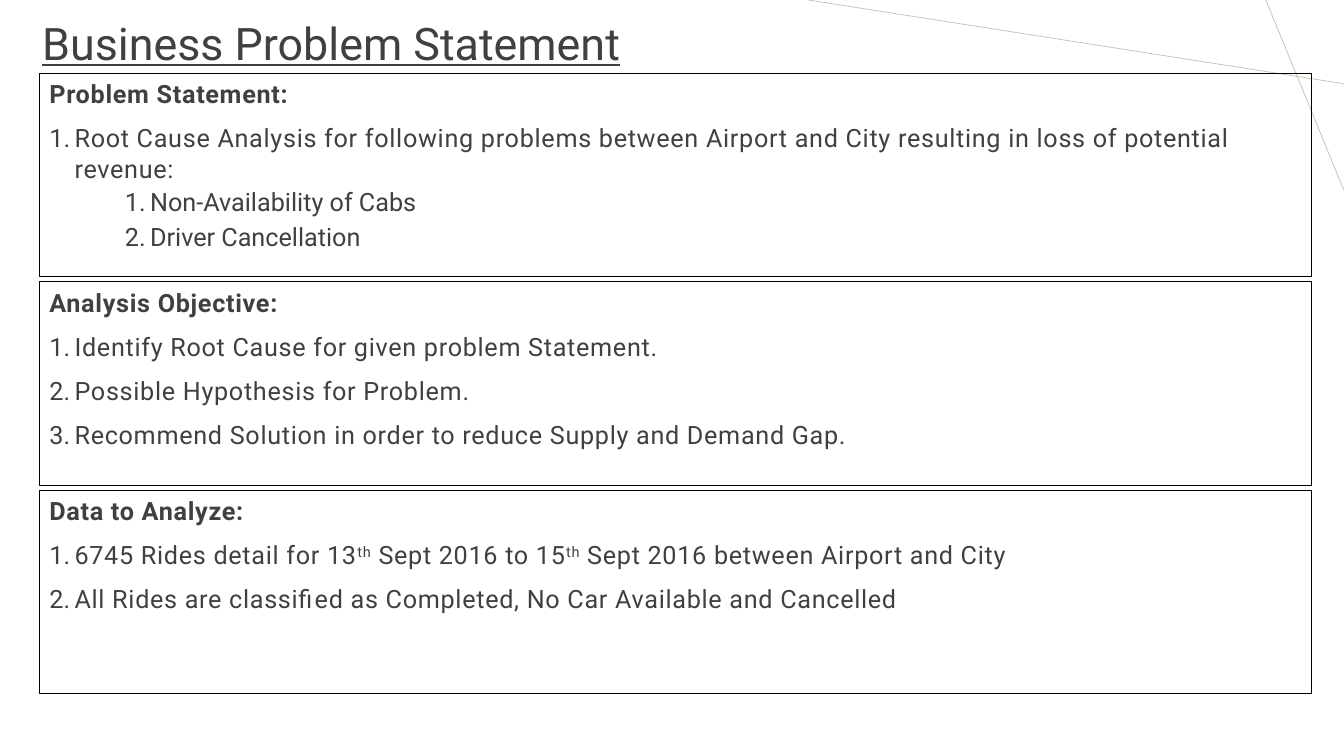
from lxml import etree
from pptx import Presentation
from pptx.dml.color import RGBColor
from pptx.enum.shapes import MSO_CONNECTOR
from pptx.enum.text import MSO_ANCHOR, MSO_AUTO_SIZE, PP_ALIGN
from pptx.oxml.ns import qn
from pptx.util import Cm, Pt

STRAIGHT = MSO_CONNECTOR.STRAIGHT
TOP = MSO_ANCHOR.TOP
LEFT = PP_ALIGN.LEFT
NO_AUTOFIT = MSO_AUTO_SIZE.NONE

TEXT_COLOR = RGBColor(0x40, 0x40, 0x40)
BORDER_COLOR = RGBColor(0x00, 0x00, 0x00)
ACCENT_COLOR = RGBColor(0xC6, 0xBF, 0xA9)

COMPARISON_LAYOUT = 4  # title and four body placeholders
HEADING, ITEM, SUBITEM = range(3)
INDENTS = {HEADING: 0, ITEM: 0.635, SUBITEM: 2.54}  # cm
HANGING = 0.635  # cm

# Each section is a list of (kind, text); ^ marks the ends of a superscript
SECTIONS = [
    [
        (HEADING, "Problem Statement:"),
        (ITEM, "Root Cause Analysis for following problems between Airport and City "
               "resulting in loss of potential revenue:"),
        (SUBITEM, "Non-Availability of Cabs"),
        (SUBITEM, "Driver Cancellation"),
    ],
    [
        (HEADING, "Analysis Objective:"),
        (ITEM, "Identify Root Cause for given problem Statement."),
        (ITEM, "Possible Hypothesis for Problem."),
        (ITEM, "Recommend Solution in order to reduce Supply and Demand Gap."),
    ],
    [
        (HEADING, "Data to Analyze:"),
        (ITEM, "6745 Rides detail for 13^th^ Sept 2016 to 15^th^ Sept 2016 "
               "between Airport and City"),
        (ITEM, "All Rides are classified as Completed, No Car Available and Cancelled"),
    ],
]


class SlideBuilder:
    font_name = "Roboto"

    def __init__(self, slide):
        self.slide = slide
        self.bodies = [shape for shape in slide.placeholders
                       if shape.placeholder_format.idx in (1, 2, 3, 4)]

    def place(self, shape, left, top, width, height):
        shape.left, shape.top = Cm(left), Cm(top)
        shape.width, shape.height = Cm(width), Cm(height)
        frame = shape.text_frame
        frame.word_wrap = True
        frame.auto_size = NO_AUTOFIT
        frame.vertical_anchor = TOP
        return frame

    def style(self, paragraph, size, bold=False):
        paragraph.alignment = LEFT
        font = paragraph.font
        font.name, font.size, font.bold = self.font_name, Pt(size), bold
        font.color.rgb = TEXT_COLOR
        return font

    def accent_line(self, x1, y1, x2, y2):
        line = self.slide.shapes.add_connector(STRAIGHT, Cm(x1), Cm(y1), Cm(x2), Cm(y2))
        line.line.color.rgb = ACCENT_COLOR
        line.line.width = Pt(0.5)
        etree.SubElement(line._element.spPr, qn("a:effectLst"))
        self.slide.shapes._spTree.insert(2, line._element)  # behind the text

    def title(self, text, *box):
        frame = self.place(self.slide.shapes.title, *box)
        frame.text = text
        paragraph = frame.paragraphs[0]
        paragraph.line_spacing = 0.9
        self.style(paragraph, 32).underline = True

    def section(self, entries, *box):
        shape = self.bodies.pop(0)
        frame = self.place(shape, *box)
        shape.line.color.rgb = BORDER_COLOR
        shape.line.width = Pt(0.75)
        for number, (kind, text) in enumerate(entries):
            paragraph = frame.add_paragraph() if number else frame.paragraphs[0]
            self.entry(paragraph, kind, text)

    def entry(self, paragraph, kind, text):
        is_subitem = kind == SUBITEM
        paragraph.level = 1 if is_subitem else 0
        paragraph.line_spacing = 0.9 if is_subitem else 1.0
        paragraph.space_before = Pt(5 if is_subitem else 10)

        # Numbering and hanging indent
        properties = paragraph._p.get_or_add_pPr()
        properties.set("marL", str(Cm(INDENTS[kind])))
        properties.set("indent", str(0 if kind == HEADING else -Cm(HANGING)))
        if kind == HEADING:
            etree.SubElement(properties, qn("a:buNone"))
        else:
            etree.SubElement(properties, qn("a:buFont"), typeface="+mj-lt")
            etree.SubElement(properties, qn("a:buAutoNum"), type="arabicPeriod")

        # Font and letter spacing
        self.style(paragraph, 18, bold=kind == HEADING)
        properties.find(qn("a:defRPr")).set("spc", "0" if is_subitem else "50")

        for position, part in enumerate(text.split("^")):
            run = paragraph.add_run()
            run.text = part
            if position % 2:
                run._r.get_or_add_rPr().set("baseline", "30000")

    def remove_unused(self):
        for shape in self.bodies:
            shape._element.getparent().remove(shape._element)


def main():
    presentation = Presentation()
    presentation.slide_width, presentation.slide_height = Cm(33.87), Cm(19.05)
    layout = presentation.slide_layouts[COMPARISON_LAYOUT]
    builder = SlideBuilder(presentation.slides.add_slide(layout))

    # Background lines
    builder.accent_line(33.87, 2.11, 20.37, 0)
    builder.accent_line(31.9, 0, 33.87, 4.8)

    # Title
    builder.title("Business Problem Statement", 0.81, 0.43, 22.81, 1.42)

    # Three equal boxes, one below the other
    for row, entries in enumerate(SECTIONS):
        builder.section(entries, 0.99, 1.85 + row * 5.25, 32.05, 5.13)

    builder.remove_unused()
    presentation.save("out.pptx")


if __name__ == "__main__":
    main()
